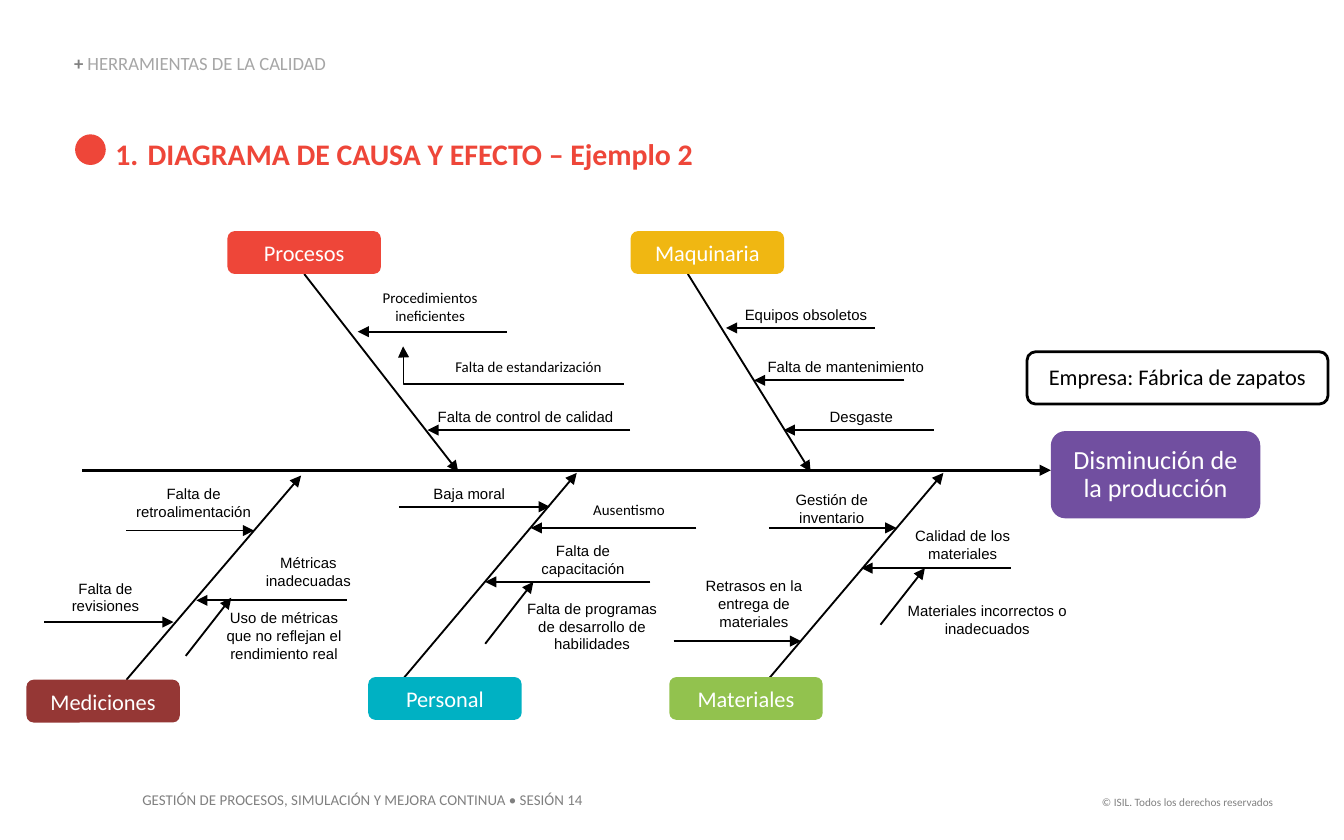
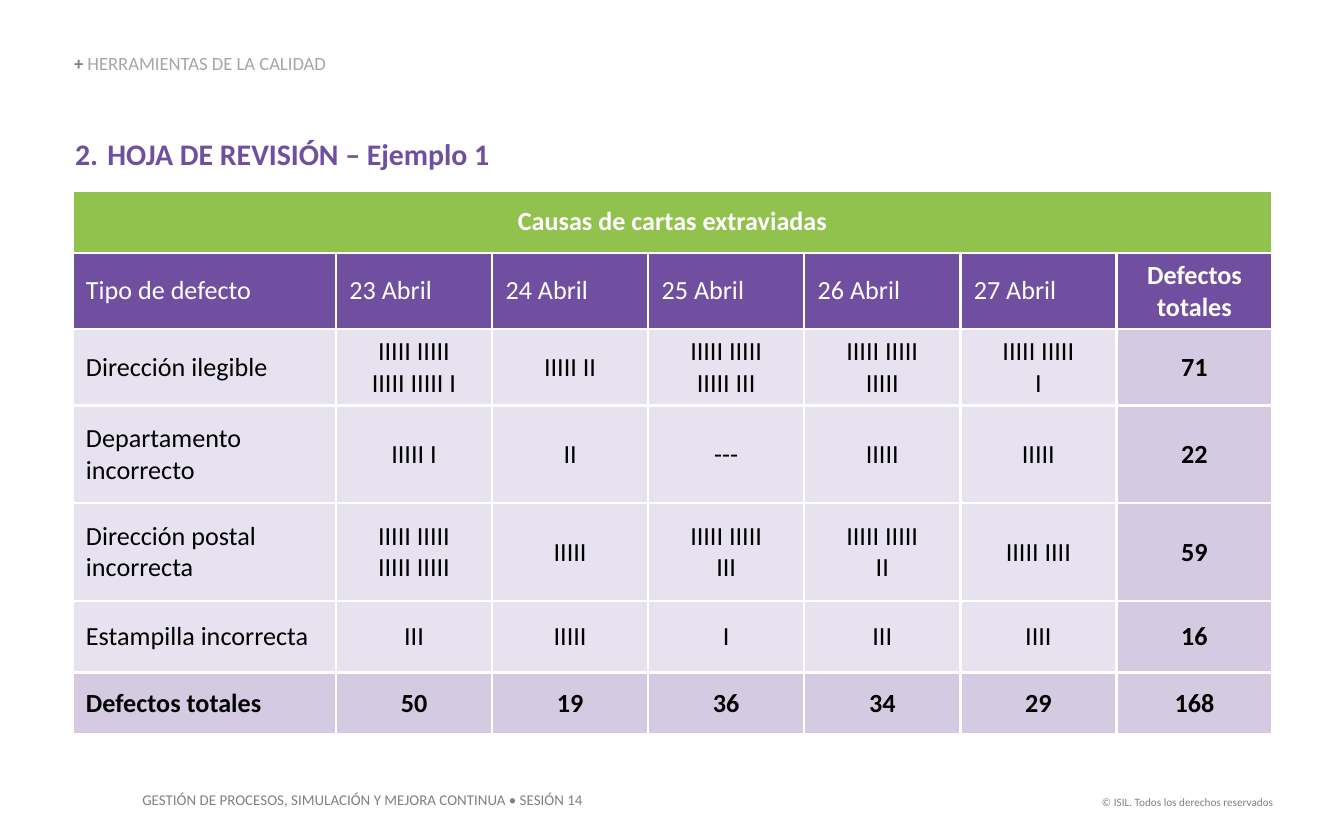
"""Builds two quality-tool slides: a cause-and-effect diagram and a check sheet."""
from dataclasses import dataclass
from typing import Any, Optional

from lxml import etree
from pptx import Presentation
from pptx.dml.color import RGBColor
from pptx.enum.shapes import MSO_CONNECTOR, MSO_SHAPE
from pptx.enum.text import MSO_ANCHOR, MSO_AUTO_SIZE, PP_ALIGN
from pptx.oxml.ns import qn
from pptx.util import Cm, Pt

RED = RGBColor(0xEE, 0x46, 0x39)
YELLOW = RGBColor(0xF0, 0xB7, 0x12)
PURPLE = RGBColor(0x71, 0x4F, 0xA0)
GREEN = RGBColor(0x92, 0xC2, 0x4E)
CYAN = RGBColor(0x00, 0xB1, 0xC3)
MAROON = RGBColor(0x95, 0x37, 0x35)
LILAC = RGBColor(0xD4, 0xCB, 0xE3)
GREY = RGBColor(0x80, 0x80, 0x80)
LIGHT_GREY = RGBColor(0xA6, 0xA6, 0xA6)
BLACK = RGBColor(0, 0, 0)
WHITE = RGBColor(0xFF, 0xFF, 0xFF)

LEFT, CENTER, RIGHT = PP_ALIGN.LEFT, PP_ALIGN.CENTER, PP_ALIGN.RIGHT
TOP, MIDDLE, BOTTOM = MSO_ANCHOR.TOP, MSO_ANCHOR.MIDDLE, MSO_ANCHOR.BOTTOM
GROW = MSO_AUTO_SIZE.SHAPE_TO_FIT_TEXT
STRAIGHT, ELBOW = MSO_CONNECTOR.STRAIGHT, MSO_CONNECTOR.ELBOW
ROUNDED, OVAL = MSO_SHAPE.ROUNDED_RECTANGLE, MSO_SHAPE.OVAL

BODY, LABEL = "Calibri", "Arial"
TITLE_ONLY = 5
LABEL_LINE = 0.34
NO_INSETS = dict(margin_left=0, margin_top=0, margin_right=0, margin_bottom=0)


@dataclass
class Arrow:
    """Tail and head of an arrow, in centimetres."""
    x1: float
    y1: float
    x2: float
    y2: float
    kind: Any = STRAIGHT
    width: float = 1


@dataclass
class Category:
    """A cause family: its box and the bone that runs to the spine."""
    text: str
    left: float
    top: float
    color: RGBColor
    bone: Arrow


@dataclass
class Cause:
    """A cause: its label and the arrow beneath it."""
    text: str
    left: float
    top: float
    width: float
    lines: int
    arrow: Arrow
    font: str = LABEL


CATEGORIES = [
    Category("Procesos", 4.3, 4.37, RED, Arrow(5.75, 5.18, 8.66, 8.92)),
    Category("Maquinaria", 11.92, 4.37, YELLOW, Arrow(13, 5.18, 15.32, 8.92)),
    Category("Mediciones", 0.5, 12.85, MAROON, Arrow(2.39, 12.85, 5.69, 8.99)),
    Category("Personal", 6.96, 12.8, CYAN, Arrow(7.62, 12.83, 10.9, 8.94)),
    Category("Materiales", 12.65, 12.8, GREEN, Arrow(14.53, 12.83, 17.83, 8.94)),
]

CAUSES = [
    Cause("Procedimientos ineficientes", 6.71, 5.46, 2.84, 2, Arrow(9.58, 6.27, 6.76, 6.27), BODY),
    Cause("Falta de estandarización", 7.82, 6.76, 4.34, 1,
          Arrow(11.79, 7.26, 7.62, 6.55, ELBOW), BODY),
    Cause("Falta de control de calidad", 8.08, 7.7, 3.71, 1, Arrow(11.91, 8.13, 8.08, 8.13)),
    Cause("Equipos obsoletos", 13.94, 5.77, 2.59, 1, Arrow(16.54, 6.2, 13.72, 6.2)),
    Cause("Falta de mantenimiento", 14.49, 6.76, 3, 1, Arrow(17.09, 7.19, 14.25, 7.19)),
    Cause("Desgaste", 15.06, 7.7, 2.44, 1, Arrow(17.65, 8.13, 14.81, 8.13)),
    Cause("Falta de retroalimentación", 2.44, 9.17, 2.44, 2, Arrow(2.39, 10.03, 4.8, 10.03)),
    Cause("Falta de revisiones", 1.17, 10.95, 1.65, 2, Arrow(0.84, 11.76, 3.28, 11.76)),
    Cause("Métricas inadecuadas", 4.88, 10.46, 1.9, 2, Arrow(6.55, 11.35, 3.71, 11.35)),
    Cause("Uso de métricas que no reflejan el rendimiento real", 4.14, 11.51, 2.46, 3,
          Arrow(3.51, 12.4, 4.37, 11.3)),
    Cause("Baja moral", 7.65, 9.17, 2.44, 1, Arrow(7.54, 9.58, 10.39, 9.58)),
    Cause("Ausentismo", 10.67, 9.47, 2.44, 1, Arrow(13.16, 9.98, 10.03, 9.98), BODY),
    Cause("Falta de capacitación", 9.8, 10.24, 2.44, 2, Arrow(12.29, 11, 9.17, 11)),
    Cause("Falta de programas de desarrollo de habilidades", 9.88, 11.33, 2.62, 3,
          Arrow(9.17, 12.17, 10.08, 11)),
    Cause("Gestión de inventario", 14.5, 9.27, 2.44, 2, Arrow(14.53, 9.98, 16.94, 9.98)),
    Cause("Calidad de los materiales", 16.71, 9.96, 2.97, 2, Arrow(19.1, 10.74, 16.28, 10.74)),
    Cause("Materiales incorrectos o inadecuados", 17.14, 11.38, 3.04, 2,
          Arrow(16.64, 11.81, 17.48, 10.74)),
    Cause("Retrasos en la entrega de materiales", 13.03, 10.9, 2.44, 3,
          Arrow(12.73, 12.12, 15.14, 12.12)),
]

CHECK_SHEET = [
    ["Causas de cartas extraviadas"],
    ["Tipo de defecto", "23 Abril", "24 Abril", "25 Abril", "26 Abril", "27 Abril",
     "Defectos totales"],
    ["Dirección ilegible", "IIIII IIIII\nIIIII IIIII I", "IIIII II",
     "IIIII IIIII\nIIIII III", "IIIII IIIII\nIIIII", "IIIII IIIII\nI", "71"],
    ["Departamento incorrecto", "IIIII I", "II", "---", "IIIII", "IIIII", "22"],
    ["Dirección postal incorrecta", "IIIII IIIII\nIIIII IIIII", "IIIII",
     "IIIII IIIII\nIII", "IIIII IIIII\nII", "IIIII IIII", "59"],
    ["Estampilla incorrecta", "III", "IIIII", "I", "III", "IIII", "16"],
    ["Defectos totales", "50", "19", "36", "34", "29", "168"],
]
COLUMN_WIDTHS = [4.98] + [2.95] * 6
ROW_HEIGHTS = [1.17, 1.42, 1.17, 1.85, 1.85, 1.35, 1.17]


def set_format(target: Any, values: dict[str, Any]) -> None:
    """Set every attribute in values on target."""
    for attribute, value in values.items():
        setattr(target, attribute, value)


def add_run(paragraph: Any, text: str, size: float, color: RGBColor,
            bold: bool = False, font: str = BODY) -> None:
    """Append a formatted run to a paragraph."""
    run = paragraph.add_run()
    run.text = text
    set_format(run.font, dict(name=font, size=Pt(size), bold=bold))
    run.font.color.rgb = color


def add_text(slide: Any, box: tuple, align: Any = LEFT, **frame_format: Any) -> Any:
    """Add a wrapping text box and return its first paragraph."""
    frame = slide.shapes.add_textbox(*map(Cm, box)).text_frame
    set_format(frame, dict(word_wrap=True, auto_size=GROW) | frame_format)
    frame.paragraphs[0].alignment = align
    return frame.paragraphs[0]


def add_block(slide: Any, kind: Any, box: tuple, fill: Optional[RGBColor],
              text: str = "", size: float = 12, color: RGBColor = WHITE,
              spacing: float = 1) -> None:
    """Add a filled shape, or a black outlined one when there is no fill."""
    block = slide.shapes.add_shape(kind, *map(Cm, box))
    block.shadow.inherit = False
    if fill is None:
        block.fill.background()
        block.line.color.rgb = BLACK
        block.line.width = Pt(1.5)
    else:
        block.fill.solid()
        block.fill.fore_color.rgb = fill
        block.line.fill.background()
    if text:
        block.text_frame.vertical_anchor = MIDDLE
        paragraph = block.text_frame.paragraphs[0]
        set_format(paragraph, dict(alignment=CENTER, line_spacing=spacing))
        add_run(paragraph, text, size, color)


def add_arrow(slide: Any, arrow: Arrow) -> None:
    """Draw a black arrow with a triangular head."""
    ends = map(Cm, (arrow.x1, arrow.y1, arrow.x2, arrow.y2))
    connector = slide.shapes.add_connector(arrow.kind, *ends)
    connector.line.color.rgb = BLACK
    connector.line.width = Pt(arrow.width)
    properties = connector._element.spPr
    etree.SubElement(properties.find(qn("a:ln")), qn("a:tailEnd"), type="triangle")
    etree.SubElement(properties, qn("a:effectLst"))
    if arrow.kind == ELBOW:
        geometry = properties.find(qn("a:prstGeom"))
        guides = geometry.find(qn("a:avLst"))
        if guides is None:
            guides = etree.SubElement(geometry, qn("a:avLst"))
        etree.SubElement(guides, qn("a:gd"), name="adj1", fmla="val 99800")


def add_footers(slide: Any, layout: Any) -> None:
    """Place the course and copyright lines on the layout."""
    footers = [
        ((2.44, 14.83, 8.97, 0.61), LEFT, 8,
         "GESTIÓN DE PROCESOS, SIMULACIÓN Y MEJORA CONTINUA • SESIÓN 14"),
        ((20.4, 14.91, 3.91, 0.51), RIGHT, 6, "© ISIL. Todos los derechos reservados"),
    ]
    for box, align, size, text in footers:
        add_run(add_text(slide, box, align), text, size, GREY)
        layout.shapes.element.append(slide.shapes[-1]._element)


def add_heading(slide: Any, text: str, number: int, color: RGBColor, box: tuple) -> None:
    """Write the section line and the numbered title."""
    section = add_text(slide, (1.4, 1.04, 6.76, 0.38), vertical_anchor=BOTTOM, **NO_INSETS)
    section.line_spacing = 0.9
    add_run(section, "+ ", 10, GREY, bold=True)
    add_run(section, "HERRAMIENTAS DE LA CALIDAD", 10, LIGHT_GREY)

    title = slide.shapes.title
    set_format(title, dict(zip(("left", "top", "width", "height"), map(Cm, box))))
    set_format(title.text_frame, dict(vertical_anchor=TOP, word_wrap=True, auto_size=GROW)
               | NO_INSETS)
    paragraph = title.text_frame.paragraphs[0]
    properties = paragraph._p.get_or_add_pPr()
    properties.set("marL", str(Cm(0.61)))
    properties.set("indent", str(-Cm(0.61)))
    etree.SubElement(properties, qn("a:buFont"), typeface="+mj-lt")
    etree.SubElement(properties, qn("a:buAutoNum"), type="arabicPeriod", startAt=str(number))
    set_format(paragraph, dict(alignment=LEFT, space_after=Pt(6)))
    add_run(paragraph, text, 16, color, bold=True)


def build_diagram(slide: Any) -> None:
    """Draw the cause-and-effect diagram."""
    add_heading(slide, "DIAGRAMA DE CAUSA Y EFECTO – Ejemplo 2", 1, RED, (2.18, 2.57, 12.5, 0.69))
    add_block(slide, OVAL, (1.42, 2.54, 0.58, 0.58), RED)
    add_arrow(slide, Arrow(1.55, 8.89, 19.86, 8.89, width=1.5))
    add_block(slide, ROUNDED, (19.86, 8.15, 3.96, 1.65), PURPLE,
              "Disminución de la producción", 14, spacing=0.9)
    add_block(slide, ROUNDED, (19.41, 6.65, 5.69, 0.99), None,
              "Empresa: Fábrica de zapatos", color=BLACK, spacing=0.9)
    for category in CATEGORIES:
        add_arrow(slide, category.bone)
        add_block(slide, ROUNDED, (category.left, category.top, 2.9, 0.81),
                  category.color, category.text)
    for cause in CAUSES:
        add_arrow(slide, cause.arrow)
        box = (cause.left, cause.top, cause.width, cause.lines * LABEL_LINE)
        add_run(add_text(slide, box, CENTER, **NO_INSETS), cause.text, 8, BLACK, font=cause.font)


def paint_cell(cell: Any, color: RGBColor, alpha: int = 100) -> None:
    """Fill a cell and give it white borders."""
    cell.fill.solid()
    cell.fill.fore_color.rgb = color
    properties = cell._tc.get_or_add_tcPr()
    if alpha < 100:
        tint = properties.find(".//" + qn("a:srgbClr"))
        etree.SubElement(tint, qn("a:alpha"), val=str(alpha * 1000))
    for position, side in enumerate(("lnL", "lnR", "lnT", "lnB")):
        border = etree.Element(qn("a:" + side), w=str(Pt(1.5)))
        solid = etree.SubElement(border, qn("a:solidFill"))
        etree.SubElement(solid, qn("a:srgbClr"), val=str(WHITE))
        properties.insert(position, border)


def build_check_sheet(slide: Any) -> None:
    """Draw the check sheet with its tallies and totals."""
    add_heading(slide, "HOJA DE REVISIÓN – Ejemplo 1", 2, PURPLE, (1.42, 2.57, 21.36, 0.81))
    rows, columns = len(ROW_HEIGHTS), len(COLUMN_WIDTHS)
    box = map(Cm, (1.37, 3.61, sum(COLUMN_WIDTHS), sum(ROW_HEIGHTS)))
    sheet = slide.shapes.add_table(rows, columns, *box).table
    set_format(sheet, dict(first_row=False, horz_banding=False))
    for column, width in zip(sheet.columns, COLUMN_WIDTHS):
        column.width = Cm(width)
    for row, height in zip(sheet.rows, ROW_HEIGHTS):
        row.height = Cm(height)
    sheet.cell(0, 0).merge(sheet.cell(0, columns - 1))

    for r in range(rows):
        for c in range(columns):
            cell = sheet.cell(r, c)
            total = r == rows - 1 or c == columns - 1
            if r < 2:
                paint_cell(cell, (GREEN, PURPLE)[r])
            else:
                paint_cell(cell, LILAC, 100 if total else 55)
            if c >= len(CHECK_SHEET[r]):
                continue
            cell.vertical_anchor = MIDDLE
            left = r == 1 and not total or r > 1 and c == 0
            for i, line in enumerate(CHECK_SHEET[r][c].split("\n")):
                frame = cell.text_frame
                paragraph = frame.add_paragraph() if i else frame.paragraphs[0]
                paragraph.alignment = LEFT if left else CENTER
                add_run(paragraph, line, 14, WHITE if r < 2 else BLACK, bold=total or r == 0)


def main() -> None:
    """Build and save the deck."""
    deck = Presentation()
    set_format(deck, dict(slide_width=Cm(25.4), slide_height=Cm(15.88)))
    layout = deck.slide_layouts[TITLE_ONLY]
    diagram, check_sheet = (deck.slides.add_slide(layout) for _ in range(2))
    add_footers(diagram, layout)
    build_diagram(diagram)
    build_check_sheet(check_sheet)
    deck.save("out.pptx")


if __name__ == "__main__":
    main()
